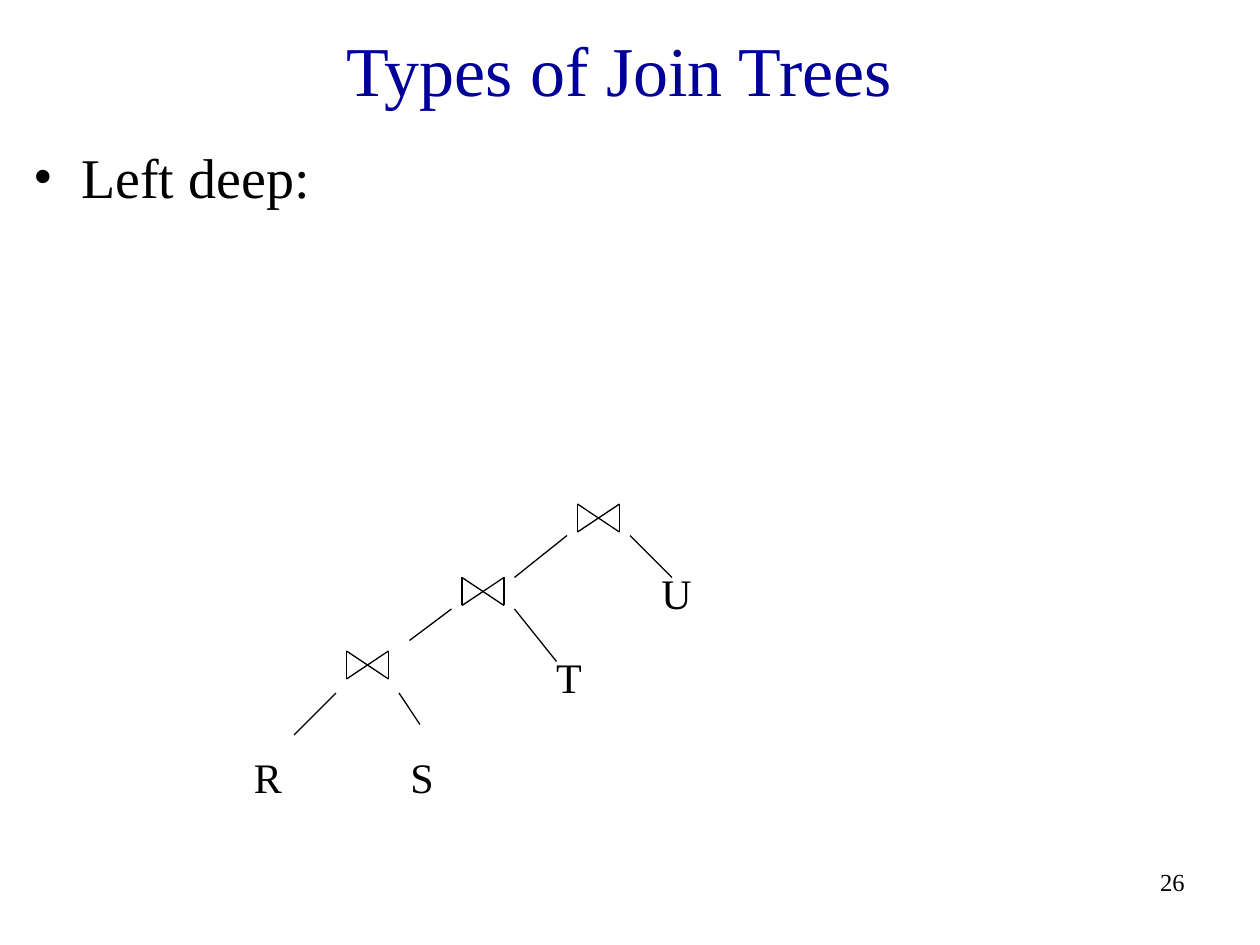
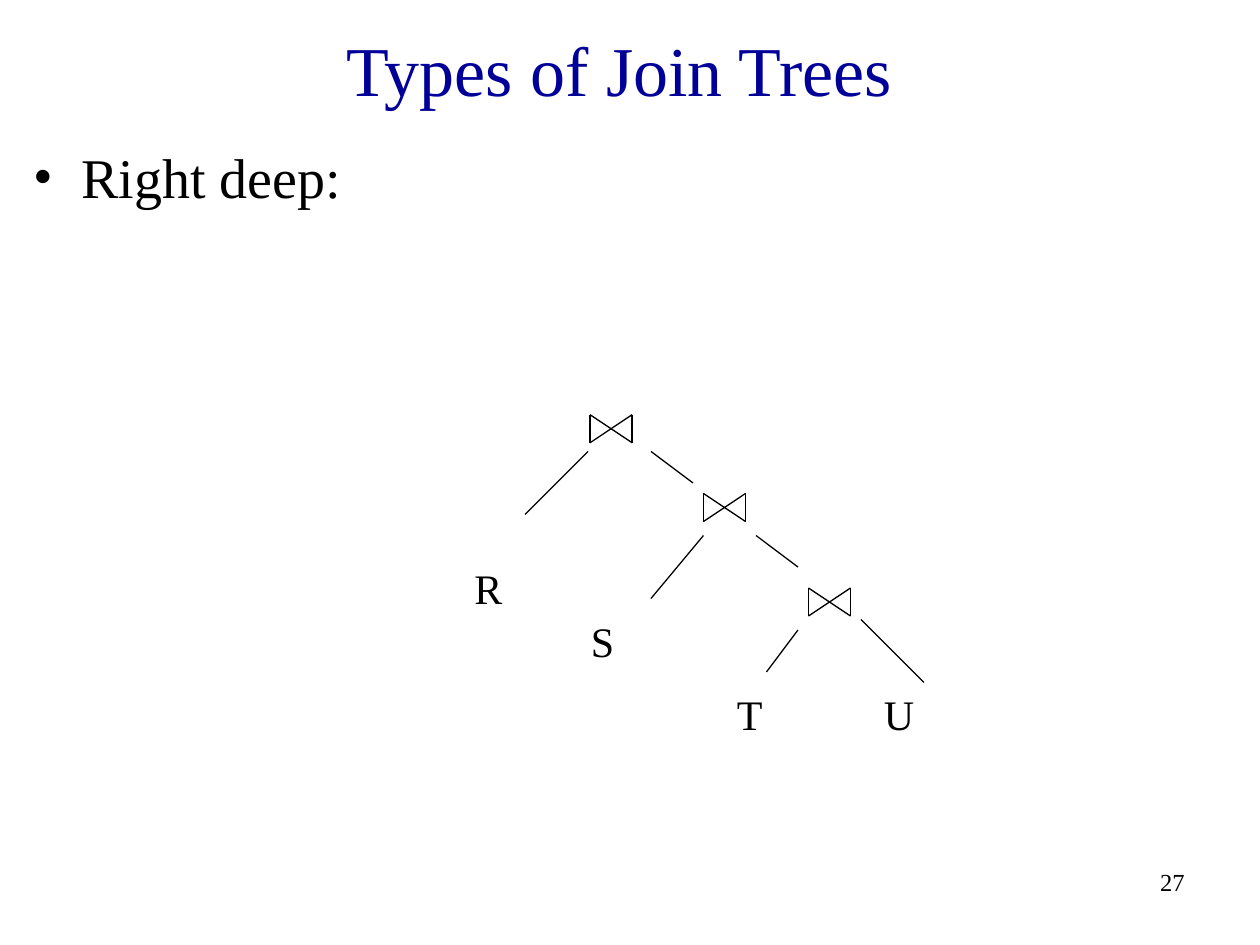
from dataclasses import dataclass

from lxml.etree import SubElement
from pptx import Presentation
from pptx.dml.color import RGBColor
from pptx.enum.shapes import MSO_CONNECTOR
from pptx.enum.text import MSO_ANCHOR, MSO_AUTO_SIZE, PP_ALIGN
from pptx.oxml.ns import qn
from pptx.util import Inches, Pt

FONT = "Times New Roman"
BLACK = "000000"
TITLE_BLUE = "000099"
CELLS_PER_INCH = 12
JOIN_WIDTH, JOIN_HEIGHT = 4, 2.67
LABEL_HEIGHT = 6
LABEL_WIDTHS = {"R": 5, "S": 4.6, "T": 4.8, "U": 5.3}


@dataclass
class JoinTree:
    """Corners of joins, corners of relation labels, and ends of branches in grid cells."""

    heading: str
    joins: list
    relations: dict
    branches: list


LEFT_DEEP = JoinTree(
    "Left deep:",
    [(55 - 11 * level, 48 + 7 * level) for level in range(3)],
    {"R": (23, 71), "S": (37.9, 71), "T": (51.8, 61.5), "U": (61.8, 53.5)},
    [(32, 66, 28, 70), (38, 66, 40, 69), (43, 58, 39, 61),
     (49, 58, 53, 63), (54, 51, 49, 55), (60, 51, 64, 55)],
)
RIGHT_DEEP = JoinTree(
    "Right deep:",
    [(56.2, 39.5), (67, 47), (77, 56)],
    {"R": (44, 53), "S": (55.1, 58), "T": (69, 65), "U": (83, 65)},
    [(56, 43, 50, 49), (62, 43, 66, 46), (67, 51, 62, 57),
     (72, 51, 76, 54), (76, 60, 73, 64), (82, 59, 88, 65)],
)


def cells(count):
    """Turn a number of grid cells into a length."""
    return Inches(count / CELLS_PER_INCH)


def color(hex_code):
    """Turn a hex string into a colour."""
    return RGBColor.from_string(hex_code)


def add_text(slide, text, box, size, hex_code=BLACK, align=PP_ALIGN.LEFT):
    """Add a one-paragraph text box at a box of grid cells."""
    shape = slide.shapes.add_textbox(*map(cells, box))
    text_frame = shape.text_frame
    text_frame.word_wrap = True
    text_frame.text = text
    paragraph = text_frame.paragraphs[0]
    paragraph.alignment = align
    font = paragraph.runs[0].font
    font.name, font.size = FONT, Pt(size)
    font.color.rgb = color(hex_code)
    return text_frame


def add_line(shapes, *ends):
    """Add a thin black line between two grid points."""
    connector = shapes.add_connector(MSO_CONNECTOR.STRAIGHT, *map(cells, ends))
    connector.line.color.rgb = color(BLACK)
    connector.line.width = Pt(0.75)
    SubElement(connector._element.spPr, qn("a:effectLst"))


def add_join(slide, left, top):
    """Add a grouped bow-tie join symbol."""
    shapes = slide.shapes.add_group_shape().shapes
    right, bottom = left + JOIN_WIDTH, top + JOIN_HEIGHT
    corners = [(left, top), (right, bottom), (right, top), (left, bottom)]
    for index, start in enumerate(corners):
        add_line(shapes, *start, *corners[(index + 1) % len(corners)])


def add_relation(slide, name, left, top):
    """Add the label of a relation at a leaf."""
    box = (left, top, LABEL_WIDTHS[name], LABEL_HEIGHT)
    text_frame = add_text(slide, name, box, 24)
    text_frame.word_wrap = False
    text_frame.auto_size = MSO_AUTO_SIZE.SHAPE_TO_FIT_TEXT


def add_heading(slide, text):
    """Add the bulleted heading of the slide body."""
    paragraph = add_text(slide, text, (2, 13, 114, 71), 32).paragraphs[0]
    paragraph.space_before = Pt(8)
    properties = paragraph._p.get_or_add_pPr()
    properties.set("marL", str(Inches(0.38)))
    properties.set("indent", str(Inches(-0.38)))
    SubElement(properties, qn("a:buFont"), typeface=FONT)
    SubElement(properties, qn("a:buChar"), char="•")


def add_tree_slide(presentation, tree, number):
    """Add a slide that shows one join tree."""
    slide = presentation.slides.add_slide(presentation.slide_layouts[6])
    add_text(slide, str(number), (89, 82, 25, 6), 14, align=PP_ALIGN.RIGHT)
    title = add_text(slide, "Types of Join Trees", (2, 2, 114, 9), 40,
                     TITLE_BLUE, PP_ALIGN.CENTER)
    title.vertical_anchor = MSO_ANCHOR.MIDDLE
    add_heading(slide, tree.heading)
    for corner in tree.joins:
        add_join(slide, *corner)
    for name, corner in tree.relations.items():
        add_relation(slide, name, *corner)
    for branch in tree.branches:
        add_line(slide.shapes, *branch)


def main():
    """Build the presentation."""
    presentation = Presentation()
    presentation.slide_width, presentation.slide_height = Inches(10), Inches(7.5)
    for number, tree in enumerate((LEFT_DEEP, RIGHT_DEEP), start=26):
        add_tree_slide(presentation, tree, number)
    presentation.save("out.pptx")


if __name__ == "__main__":
    main()
